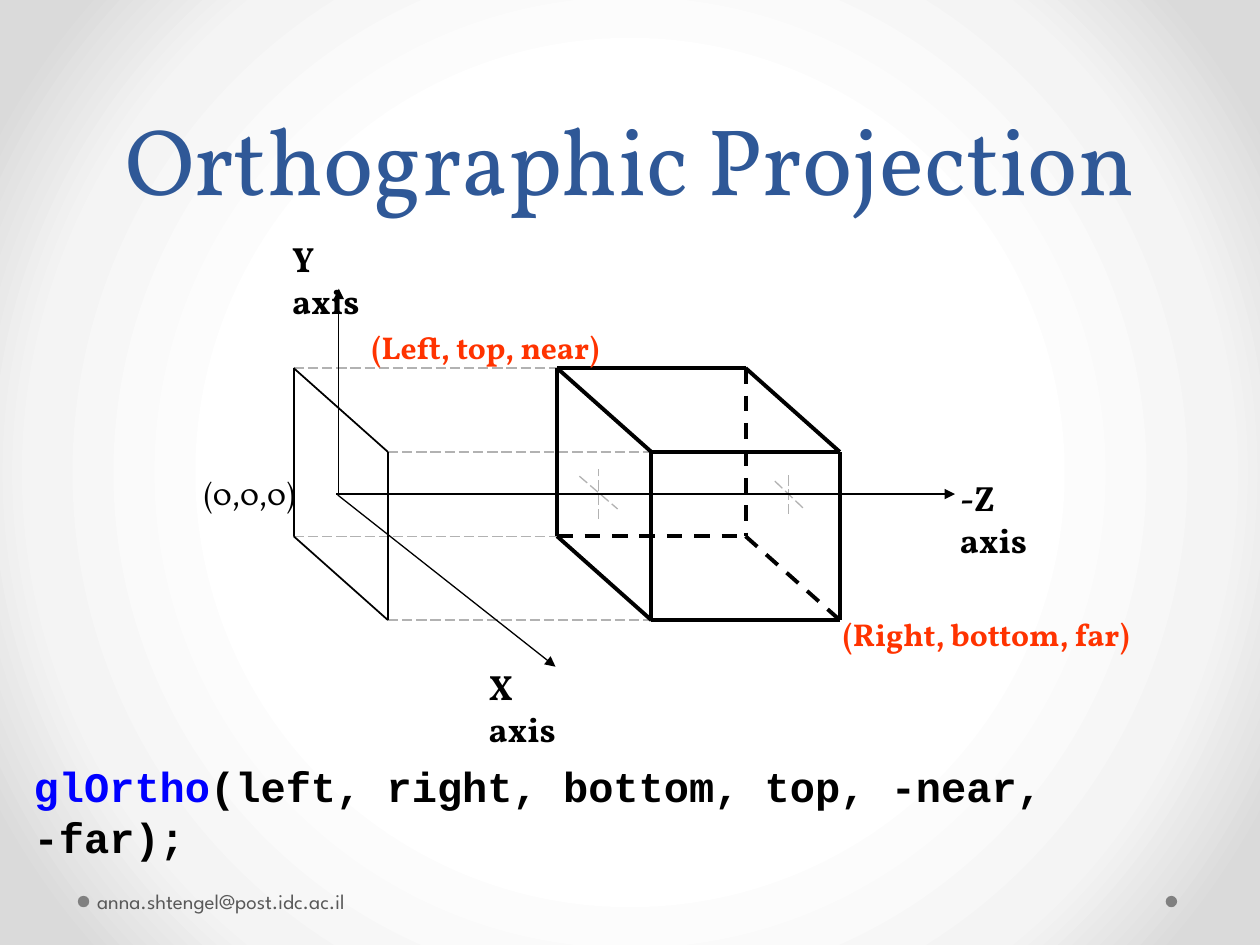
from dataclasses import dataclass

from pptx import Presentation
from pptx.dml.color import RGBColor
from pptx.enum.dml import MSO_LINE
from pptx.enum.shapes import MSO_CONNECTOR, MSO_SHAPE
from pptx.enum.text import MSO_ANCHOR, PP_ALIGN
from pptx.oxml import parse_xml
from pptx.oxml.ns import nsdecls, qn
from pptx.util import Cm, Pt

STRAIGHT = MSO_CONNECTOR.STRAIGHT
OVAL = MSO_SHAPE.OVAL
DASH, LONG_DASH = MSO_LINE.DASH, MSO_LINE.LONG_DASH
TOP, MIDDLE, BOTTOM = MSO_ANCHOR.TOP, MSO_ANCHOR.MIDDLE, MSO_ANCHOR.BOTTOM
LEFT, CENTER = PP_ALIGN.LEFT, PP_ALIGN.CENTER


@dataclass(frozen=True)
class Theme:
    serif: str = "Vollkorn"
    sans: str = "League Spartan"
    mono: str = "Courier New"
    title_color: str = "2F5897"
    ink: str = "000000"
    guide: str = "B2B2B2"
    corner: str = "FF3300"
    function: str = "0000FF"
    footer: str = "595959"
    dot: str = "808080"
    backdrop: tuple = ((50, "FFFFFF"), (76, "F4F4F4"), (92, "DADADA"))
    title_size: int = 54
    code_size: int = 24
    axis_size: int = 20
    label_size: int = 18
    footer_size: int = 12
    thick: float = 2.25
    medium: float = 1
    thin: float = 0.75


def add_span(para, text, *, font, size, color, bold=False):
    span = para.add_run()
    span.text = text
    span.font.name = font
    span.font.size = Pt(size)
    span.font.bold = bold
    span.font.color.rgb = RGBColor.from_string(color)


class SlideBuilder:
    def __init__(self, page, theme):
        self.page = page
        self.theme = theme

    def background(self):
        self.page.background.fill.gradient()
        gradient = next(self.page.element.iter(qn("a:gradFill")))
        for child in list(gradient):
            gradient.remove(child)
        stops = "".join(
            f'<a:gs pos="{place * 1000}"><a:srgbClr val="{color}"/></a:gs>'
            for place, color in self.theme.backdrop)
        gradient.append(parse_xml(f'<a:gsLst {nsdecls("a")}>{stops}</a:gsLst>'))
        gradient.append(parse_xml(
            f'<a:path {nsdecls("a")} path="circle"><a:fillToRect '
            'l="50000" t="50000" r="50000" b="50000"/></a:path>'))

    def dot(self, left, top, size):
        dot = self.page.shapes.add_shape(OVAL, Cm(left), Cm(top), Cm(size), Cm(size))
        dot.shadow.inherit = False
        dot.fill.solid()
        dot.fill.fore_color.rgb = RGBColor.from_string(self.theme.dot)
        dot.line.fill.background()

    def line(self, start, end, *, color=None, width=None, dash=None, arrow=False):
        x1, y1 = start
        x2, y2 = end
        line = self.page.shapes.add_connector(STRAIGHT, Cm(x1), Cm(y1), Cm(x2), Cm(y2))
        line.line.color.rgb = RGBColor.from_string(color or self.theme.ink)
        line.line.width = Pt(width or self.theme.thin)
        if dash:
            line.line.dash_style = dash
        if arrow:
            line.line._get_or_add_ln().append(
                parse_xml(f'<a:tailEnd {nsdecls("a")} type="triangle"/>'))
        line._element.spPr.append(parse_xml(f'<a:effectLst {nsdecls("a")}/>'))

    def guide(self, start, end):
        self.line(start, end, color=self.theme.guide, dash=LONG_DASH)

    def text(self, left, top, width, height, *spans, align=LEFT, anchor=TOP,
             spacing=None, margins=(0.25, 0.13, 0.25, 0.13), **style):
        """Each span is a (text, color) pair; style goes to every span."""
        box = self.page.shapes.add_textbox(Cm(left), Cm(top), Cm(width), Cm(height))
        frame = box.text_frame
        frame.word_wrap = True
        frame.vertical_anchor = anchor
        (frame.margin_left, frame.margin_top,
         frame.margin_right, frame.margin_bottom) = map(Cm, margins)
        para = frame.paragraphs[0]
        para.alignment = align
        if spacing:
            para.line_spacing = Pt(spacing)
        for text, color in spans:
            add_span(para, text, color=color, **style)


def face(left):
    """Corners of an upright face: back top, back bottom, front bottom, front top."""
    top, height, shift, drop = 7.42, 3.39, 1.9, 1.69
    return [(left, top), (left, top + height),
            (left + shift, top + drop + height), (left + shift, top + drop)]


def edges(corners):
    return list(zip(corners, corners[1:] + corners[:1]))


def draw_view_volume(builder):
    theme = builder.theme
    screen, near, far = face(5.92), face(11.23), face(15.03)

    # Projection lines and screen
    for start, end in zip(screen, near):
        builder.guide(start, end)
    for start, end in edges(screen):
        builder.line(start, end, width=theme.medium)

    # Box: the three edges that meet at the hidden corner are dashed
    hidden = far[1]
    for start, end in edges(near) + edges(far) + list(zip(near, far)):
        dash = DASH if hidden in (start, end) else None
        builder.line(start, end, width=theme.thick, dash=dash)

    # Crosses where the Z axis meets the near and far faces
    for start, end in [((12.07, 10.46), (12.07, 9.45)), ((11.68, 9.6), (12.45, 10.26)),
                       ((15.9, 10.36), (15.9, 9.55)), ((15.62, 9.7), (16.21, 10.26))]:
        builder.guide(start, end)


def draw_axes(builder):
    theme = builder.theme
    for start, end in [((6.78, 9.96), (19.25, 9.96)),
                       ((6.81, 9.98), (11.2, 13.44)),
                       ((6.83, 9.98), (6.83, 5.82))]:
        builder.line(start, end, arrow=True)
    for text, left, top, width in [("X axis", 9.6, 13.28, 2.46),
                                   ("-Z axis", 19.1, 9.47, 2.64),
                                   ("Y axis", 5.64, 4.65, 2.41)]:
        builder.text(left, top, width, 1.12, (text, theme.ink), font=theme.serif,
                     size=theme.axis_size, bold=True, margins=(0.25, 0.13, 0.6, 0.13))


def main():
    deck = Presentation()
    deck.slide_width, deck.slide_height = Cm(25.4), Cm(19.05)
    theme = Theme()
    builder = SlideBuilder(deck.slides.add_slide(deck.slide_layouts[6]), theme)

    # Backdrop and title
    builder.background()
    for left in (23.5, 1.57):
        builder.dot(left, 18.06, 0.23)
    builder.text(1.27, 0, 22.86, 4.45, ("Orthographic Projection", theme.title_color),
                 font=theme.serif, size=theme.title_size, align=CENTER,
                 anchor=BOTTOM, spacing=58)

    # Diagram
    draw_view_volume(builder)
    draw_axes(builder)
    for text, left, top, width, color, bold in [
            ("(Left, top, near)", 7.24, 6.48, 5.23, theme.corner, True),
            ("(Right, bottom, far)", 16.74, 12.27, 6.43, theme.corner, True),
            ("(0,0,0)", 3.86, 9.42, 2.36, theme.ink, False)]:
        builder.text(left, top, width, 1.02, (text, color), font=theme.serif,
                     size=theme.label_size, bold=bold)

    # Code and footer
    builder.text(0.43, 15.21, 24.38, 1.3, ("glOrtho", theme.function),
                 ("(left, right, bottom, top, -near, -far);", theme.ink),
                 font=theme.mono, size=theme.code_size, bold=True,
                 margins=(0.25, 0.13, 0.5, 0.13))
    builder.text(1.83, 17.65, 7.9, 1.02, ("anna.shtengel@post.idc.ac.il", theme.footer),
                 font=theme.sans, size=theme.footer_size, anchor=MIDDLE,
                 margins=(0.13, 0.13, 0.25, 0.13))

    deck.save("out.pptx")


if __name__ == "__main__":
    main()
